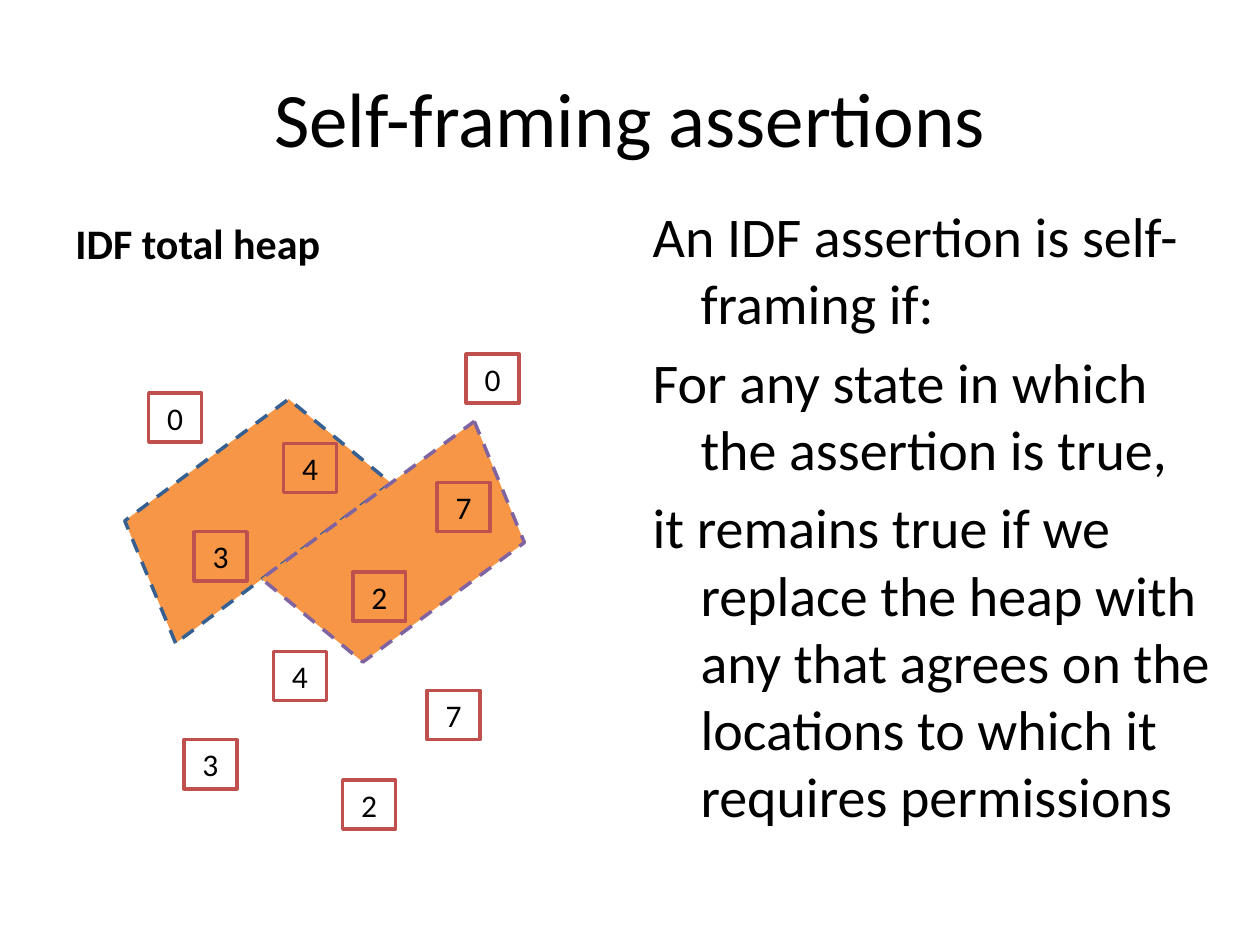
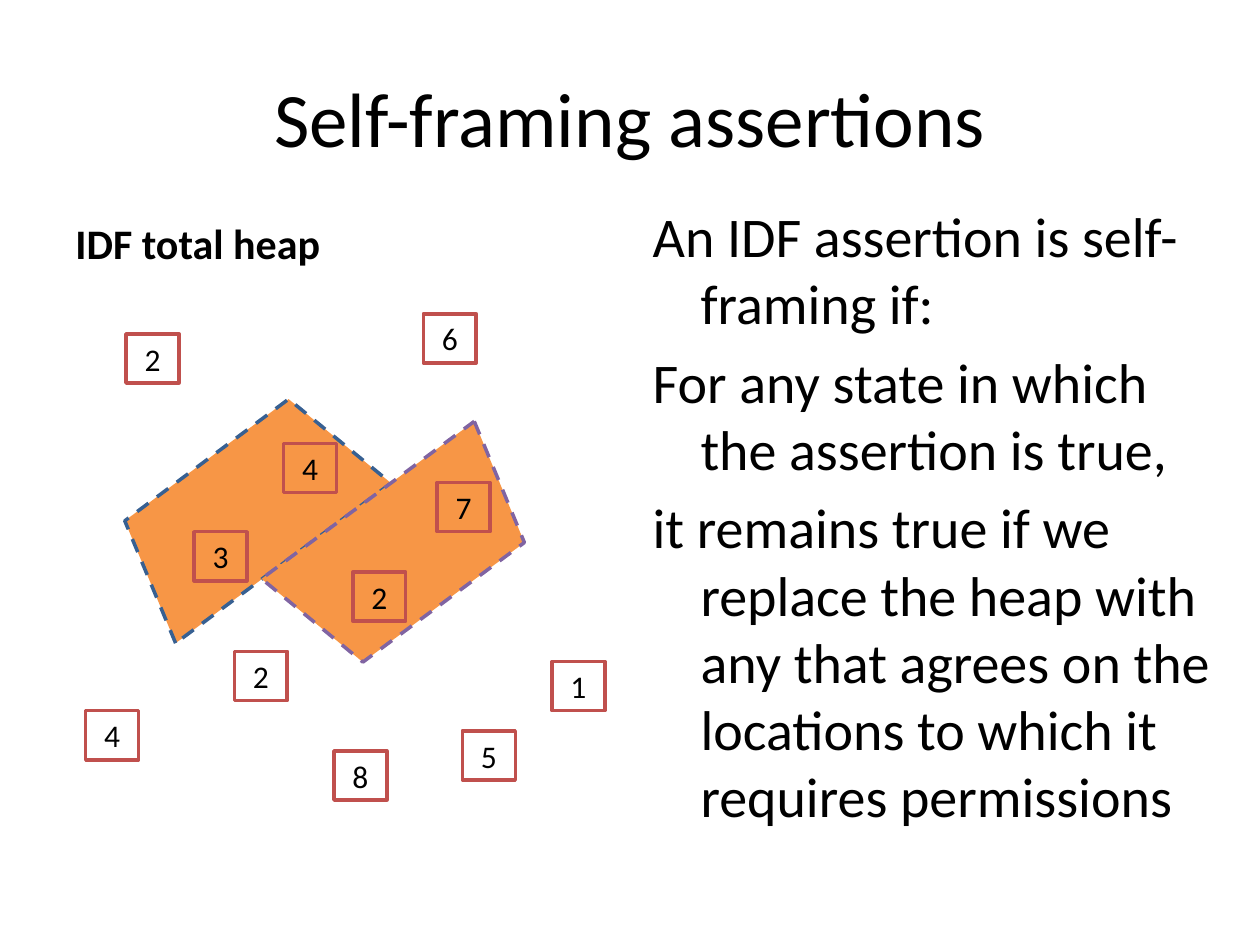
from lxml.etree import SubElement
from pptx import Presentation
from pptx.dml.color import RGBColor
from pptx.enum.dml import MSO_LINE
from pptx.enum.shapes import MSO_SHAPE
from pptx.enum.text import MSO_ANCHOR, MSO_AUTO_SIZE, PP_ALIGN
from pptx.oxml.ns import qn
from pptx.util import Inches, Pt

BLACK = RGBColor(0x00, 0x00, 0x00)
ORANGE = RGBColor(0xF7, 0x96, 0x46)
BLUE = RGBColor(0x37, 0x60, 0x92)
PURPLE = RGBColor(0x80, 0x64, 0xA2)
RED = RGBColor(0xC0, 0x50, 0x4D)
FONT = "Calibri"

TITLE = "Self-framing assertions"
HEADING = "IDF total heap"
DEFINITION = [
    "An IDF assertion is self-framing if:",
    "For any state in which the assertion is true,",
    "it remains true if we replace the heap with any that agrees on the "
    "locations to which it requires permissions",
]

presentation = Presentation()
presentation.slide_width = Inches(10)
presentation.slide_height = Inches(7.5)

# All places are counted on a grid of 100 columns by 75 rows.
COLUMN = presentation.slide_width / 100
ROW = presentation.slide_height / 75

# Permission regions: column, row, columns, rows, rotation, outline
REGIONS = [
    (8.8, 35.5, 21.3, 10.2, 323.4, BLUE),
    (21.7, 38.7, 21, 10.1, 143.5, PURPLE),
]

# Heap cells: value, column, row
CELL_SIZE = (4.2, 3.9)
FRAMED_CELLS = [("4", 22.5, 35.2), ("3", 15.4, 42.2),
                ("2", 28, 45.4), ("7", 34.7, 38.3)]
SHIFT_COLUMNS, SHIFT_ROWS = -0.8, 16.5
SHIFTED_CELLS = [(value, column + SHIFT_COLUMNS, row + SHIFT_ROWS)
                 for value, column, row in FRAMED_CELLS]
OTHER_CELLS_BY_SLIDE = [
    SHIFTED_CELLS + [("0", 37, 28.1), ("0", 11.8, 31.2)],
    [("8", 26.5, 59.6), ("4", 6.8, 56.4), ("2", 18.6, 51.7), ("1", 43.8, 52.5),
     ("6", 33.6, 24.9), ("2", 10, 26.5), ("5", 36.7, 58)],
]


def grid(column, row, columns, rows):
    """Turn grid counts into left, top, width and height."""
    return (round(column * COLUMN), round(row * ROW),
            round(columns * COLUMN), round(rows * ROW))


def format_text(text_frame, size, alignment, bold=False):
    """Give every paragraph of a text frame the deck's font and colour."""
    text_frame.word_wrap = True
    text_frame.auto_size = MSO_AUTO_SIZE.NONE
    for paragraph in text_frame.paragraphs:
        paragraph.alignment = alignment
        for run in paragraph.runs:
            run.font.name = FONT
            run.font.size = Pt(size)
            run.font.bold = bold
            run.font.color.rgb = BLACK


for other_cells in OTHER_CELLS_BY_SLIDE:
    slide = presentation.slides.add_slide(presentation.slide_layouts[1])

    title = slide.shapes.title
    title.left, title.top, title.width, title.height = grid(5, 3, 90, 12.5)
    title.text_frame.text = TITLE
    title.text_frame.vertical_anchor = MSO_ANCHOR.MIDDLE
    format_text(title.text_frame, 44, PP_ALIGN.CENTER)

    body = slide.placeholders[1]
    body.left, body.top, body.width, body.height = grid(50.8, 15.5, 48, 51.5)
    body.text_frame.text = "\n".join(DEFINITION)
    format_text(body.text_frame, 32, PP_ALIGN.LEFT)
    for paragraph in body.text_frame.paragraphs:
        properties = paragraph._p.get_or_add_pPr()
        properties.set("marL", str(Inches(0.38)))
        properties.set("indent", str(Inches(-0.38)))
        SubElement(properties, qn("a:buNone"))

    heading = slide.shapes.add_textbox(*grid(5, 16.8, 44.2, 7))
    heading.text_frame.text = HEADING
    format_text(heading.text_frame, 24, PP_ALIGN.LEFT, bold=True)

    for column, row, columns, rows, rotation, outline in REGIONS:
        region = slide.shapes.add_shape(
            MSO_SHAPE.TRAPEZOID, *grid(column, row, columns, rows))
        region.rotation = rotation
        region.shadow.inherit = False
        region.fill.solid()
        region.fill.fore_color.rgb = ORANGE
        region.line.color.rgb = outline
        region.line.width = Pt(2)
        region.line.dash_style = MSO_LINE.DASH

    for value, column, row in FRAMED_CELLS + other_cells:
        cell = slide.shapes.add_shape(
            MSO_SHAPE.RECTANGLE, *grid(column, row, *CELL_SIZE))
        cell.shadow.inherit = False
        cell.fill.background()
        cell.line.color.rgb = RED
        cell.line.width = Pt(2)
        cell.text_frame.text = value
        cell.text_frame.vertical_anchor = MSO_ANCHOR.MIDDLE
        format_text(cell.text_frame, 18, PP_ALIGN.CENTER)

presentation.save("out.pptx")
